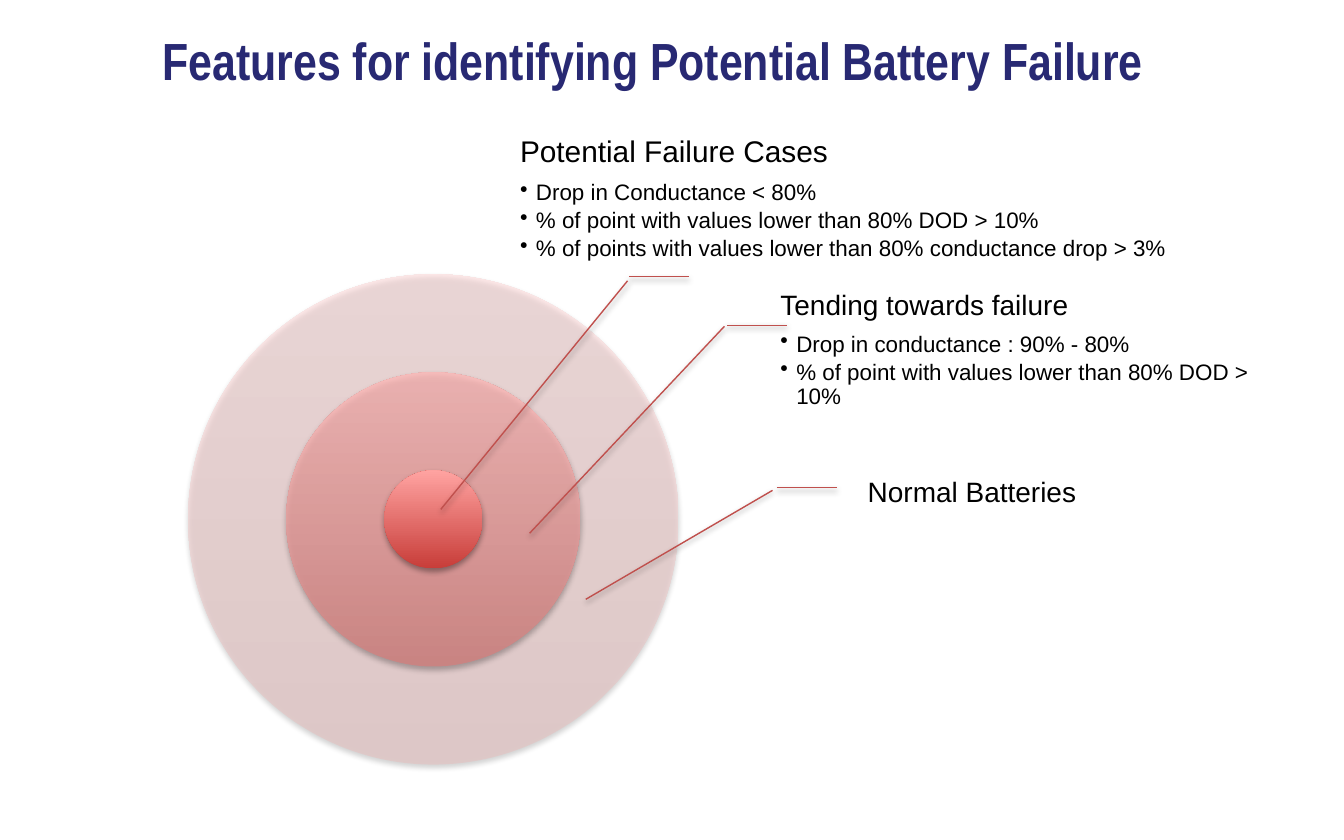
from lxml.etree import SubElement as Sub
from pptx import Presentation
from pptx.dml.color import RGBColor
from pptx.enum.shapes import MSO_CONNECTOR as Link, MSO_SHAPE as Kind
from pptx.enum.text import MSO_ANCHOR as Anchor, PP_ALIGN as Align
from pptx.oxml.ns import qn
from pptx.util import Cm, Pt

RED = "C0504D"
MID = (8.19, 9.82)
WIDE = 9.27
BAR = 1.14
INSET = {"margin_left": Cm(0.3), "margin_top": Cm(0.05),
         "margin_right": Cm(0.05), "margin_bottom": Cm(0.05)}

# share of the full width, bottom colour, top colour, opacity in percent
RINGS = [
    (1, "E8BEBD", "FFD6D6", 50),
    (0.6, "D67F7D", "FFB8B7", 75),
    (0.2, "C83D39", "FFA3A1", 100),
]

# box, head size, anchor, head, bullets
NOTES = [
    ((9.53, 2.54, 14.22, 2.69), 16, Anchor.TOP, "Potential Failure Cases", [
        "Drop in Conductance < 80%",
        "% of point with values lower than 80% DOD > 10%",
        "% of points with values lower than 80% conductance drop > 3%"]),
    ((14.45, 5.46, 9.3, 2.69), 15, Anchor.TOP, "Tending towards failure", [
        "Drop in conductance : 90% - 80%",
        "% of point with values lower than 80% DOD > 10%"]),
    ((16.1, 8.69, 4.62, 1.27), 15, Anchor.MIDDLE, "Normal Batteries", []),
]

# start of the flat bar, start of the slope, end of the slope
LEADS = [
    ((11.89, 5.23), (11.86, 5.31), (8.33, 9.63)),
    ((13.74, 6.15), (13.69, 6.17), (10.01, 10.08)),
    ((14.68, 9.22), (14.6, 9.27), (11.07, 11.33)),
]


def color(code):
    return RGBColor.from_string(code)


def style(item, form):
    for key, value in form.items():
        setattr(item, key, value)


def shade(props, dist, alpha):
    """Give shape properties a soft shadow that falls straight down."""
    effects = props.find(qn("a:effectLst"))
    if effects is None:
        effects = Sub(props, qn("a:effectLst"))
    drop = Sub(effects, qn("a:outerShdw"), blurRad=str(Pt(3.1)),
               dist=str(Pt(dist)), dir="5400000", rotWithShape="0")
    black = Sub(drop, qn("a:srgbClr"), val="000000")
    Sub(black, qn("a:alpha"), val=str(alpha * 1000))


def add_ring(slide, share, low, high, alpha):
    size = WIDE * share
    left, top = (c - size / 2 for c in MID)
    ring = slide.shapes.add_shape(Kind.OVAL, Cm(left), Cm(top), Cm(size), Cm(size))
    ring.shadow.inherit = False
    ring.line.fill.background()
    ring.fill.gradient()
    ring.fill.gradient_angle = 90
    for stop, code in zip(ring.fill.gradient_stops, (low, high)):
        stop.color.rgb = color(code)
    if alpha < 100:
        for tint in ring._element.spPr.iter(qn("a:srgbClr")):
            Sub(tint, qn("a:alpha"), val=str(alpha * 1000))
    shade(ring._element.spPr, 1.8, 35)


def add_line(slide, start, end):
    ends = [Cm(v) for v in (*start, *end)]
    line = slide.shapes.add_connector(Link.STRAIGHT, *ends)
    line.line.color.rgb = color(RED)
    line.line.width = Pt(0.75)
    shade(line._element.spPr, 1.6, 38)


def add_box(slide, box, form):
    frame = slide.shapes.add_textbox(*map(Cm, box)).text_frame
    style(frame, {"word_wrap": True, **form})
    return frame


def write(par, text, code, form):
    run = par.add_run()
    run.text = text
    style(run.font, form)
    run.font.color.rgb = color(code)


def add_title(slide, text):
    par = add_box(slide, (1.14, 0.41, 22.61, 1.4), {}).paragraphs[0]
    par.alignment = Align.CENTER
    write(par, text, "282973",
          {"name": "Arial Narrow", "size": Pt(28), "bold": True})


def add_note(slide, box, size, anchor, head, points):
    frame = add_box(slide, box, {**INSET, "vertical_anchor": anchor})
    rows = [(head, size, 0.4, 0)] + [(text, 12, 0.17, 1) for text in points]
    for i, (text, pts, gap, level) in enumerate(rows):
        par = frame.add_paragraph() if i else frame.paragraphs[0]
        style(par, {"level": level, "line_spacing": 0.9,
                    "space_after": Pt(pts * gap)})
        if level:
            props = par._p.get_or_add_pPr()
            props.set("marL", str(Cm(0.3)))
            props.set("indent", str(-Cm(0.3)))
            Sub(props, qn("a:buChar"), char="•")
        write(par, text, "000000", {"name": "Arial", "size": Pt(pts)})


def main():
    deck = Presentation()
    style(deck, {"slide_width": Cm(25.4), "slide_height": Cm(15.88)})
    slide = deck.slides.add_slide(deck.slide_layouts[6])
    add_title(slide, "Features for identifying Potential Battery Failure ")
    for ring in RINGS:
        add_ring(slide, *ring)
    for note, (bar, start, end) in zip(NOTES, LEADS):
        add_note(slide, *note)
        add_line(slide, bar, (bar[0] + BAR, bar[1]))
        add_line(slide, start, end)
    deck.save("out.pptx")


if __name__ == "__main__":
    main()
